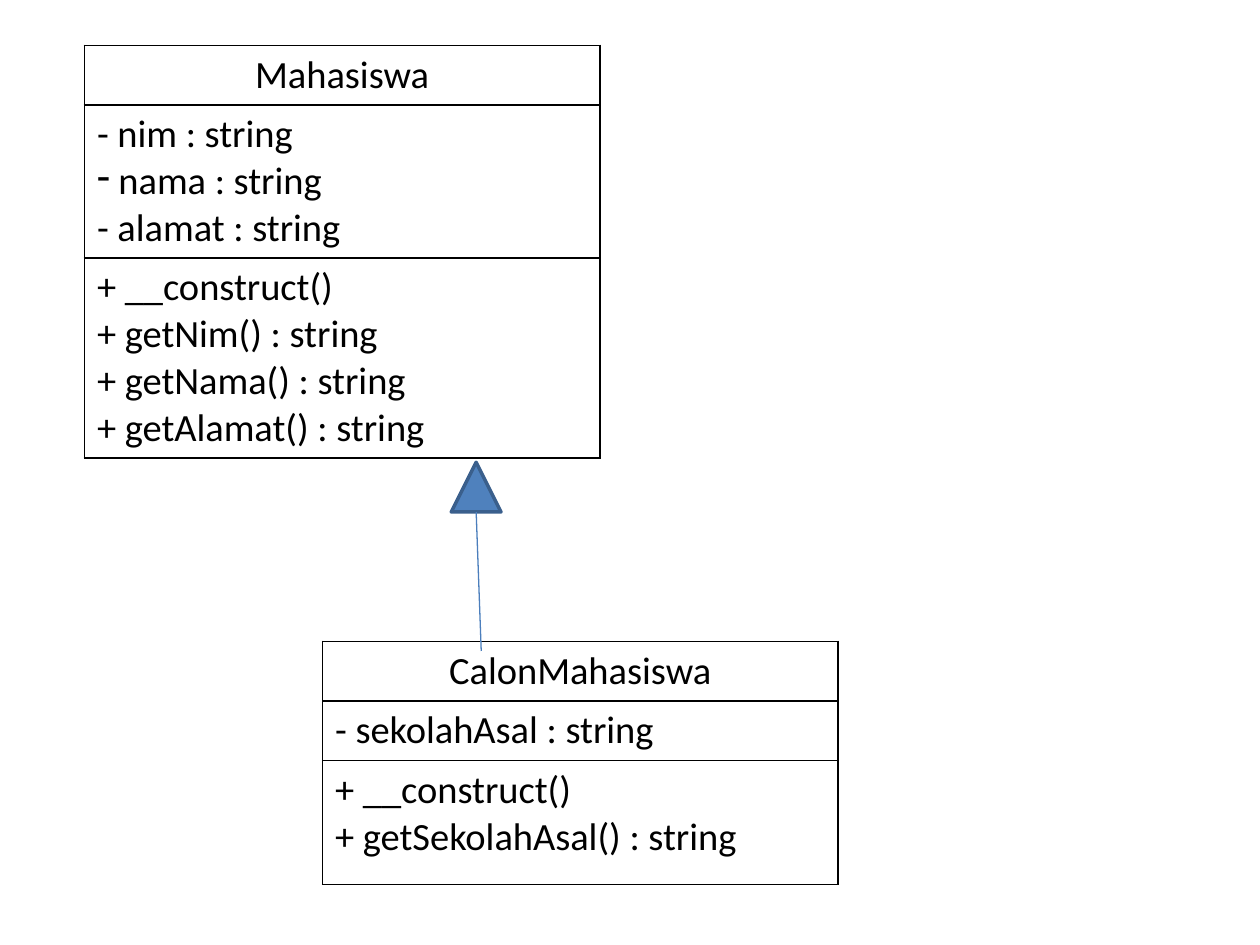
from lxml import etree
from pptx import Presentation
from pptx.dml.color import RGBColor
from pptx.enum.shapes import MSO_CONNECTOR, MSO_SHAPE
from pptx.enum.text import PP_ALIGN
from pptx.oxml.ns import qn
from pptx.util import Pt

BLACK = RGBColor(0x00, 0x00, 0x00)
BLUE = RGBColor(0x4F, 0x81, 0xBD)
DARK_BLUE = RGBColor(0x3A, 0x5F, 0x8C)
LINE_BLUE = RGBColor(0x4B, 0x7E, 0xBC)
CENTER = PP_ALIGN.CENTER
TRIANGLE = MSO_SHAPE.ISOSCELES_TRIANGLE
STRAIGHT = MSO_CONNECTOR.STRAIGHT

CLASS_WIDTH = 294.5
BULLET = "•"  # marks a line whose dash is a list bullet

# Each class: left, top, row heights, and the lines of its three sections
CLASSES = [
    (48.24, 25.92, (28, 75, 98), [
        ["Mahasiswa"],
        ["- nim : string", BULLET + " nama : string", "- alamat : string"],
        ["+ __construct()", "+ getNim() : string", "+ getNama() : string",
         "+ getAlamat() : string"],
    ]),
    (184.32, 366.5, (29.5, 29.5, 71), [
        ["CalonMahasiswa"],
        ["- sekolahAsal : string"],
        ["+ __construct()", "+ getSekolahAsal() : string"],
    ]),
]


def set_borders(cell):
    tcPr = cell._tc.get_or_add_tcPr()
    for i, side in enumerate(("lnL", "lnR", "lnT", "lnB")):
        ln = etree.Element(qn("a:" + side), w=str(Pt(1)))
        fill = etree.SubElement(ln, qn("a:solidFill"))
        etree.SubElement(fill, qn("a:srgbClr"), val=str(BLACK))
        tcPr.insert(i, ln)


prs = Presentation()
prs.slide_width, prs.slide_height = Pt(720), Pt(540)
s = prs.slides.add_slide(prs.slide_layouts[6])

# Class boxes
for left, top, heights, sections in CLASSES:
    table = s.shapes.add_table(3, 1, Pt(left), Pt(top), Pt(CLASS_WIDTH),
                               Pt(sum(heights))).table
    table.first_row = table.horz_banding = False
    for i, (height, lines) in enumerate(zip(heights, sections)):
        table.rows[i].height = Pt(height)
        cell = table.cell(i, 0)
        cell.fill.background()
        set_borders(cell)
        tf = cell.text_frame
        for j, line in enumerate(lines):
            p = tf.add_paragraph() if j else tf.paragraphs[0]
            p.text = line.lstrip(BULLET)
            p.font.name, p.font.size = "Calibri", Pt(22)
            p.font.color.rgb = BLACK
            if i == 0:
                p.alignment = CENTER
            if line.startswith(BULLET):
                bullet = etree.Element(qn("a:buChar"), char="-")
                p._p.get_or_add_pPr().insert(0, bullet)

# Inheritance arrow
head = s.shapes.add_shape(TRIANGLE, Pt(257.9), Pt(264.2), Pt(28.4), Pt(28.4))
head.shadow.inherit = False
head.fill.solid()
head.fill.fore_color.rgb = BLUE
head.line.color.rgb = DARK_BLUE
head.line.width = Pt(2)

stem = s.shapes.add_connector(STRAIGHT, Pt(272.1), Pt(292.6), Pt(275), Pt(372))
stem.line.color.rgb = LINE_BLUE
stem.line.width = Pt(0.75)
etree.SubElement(stem._element.spPr, qn("a:effectLst"))

prs.save("out.pptx")
